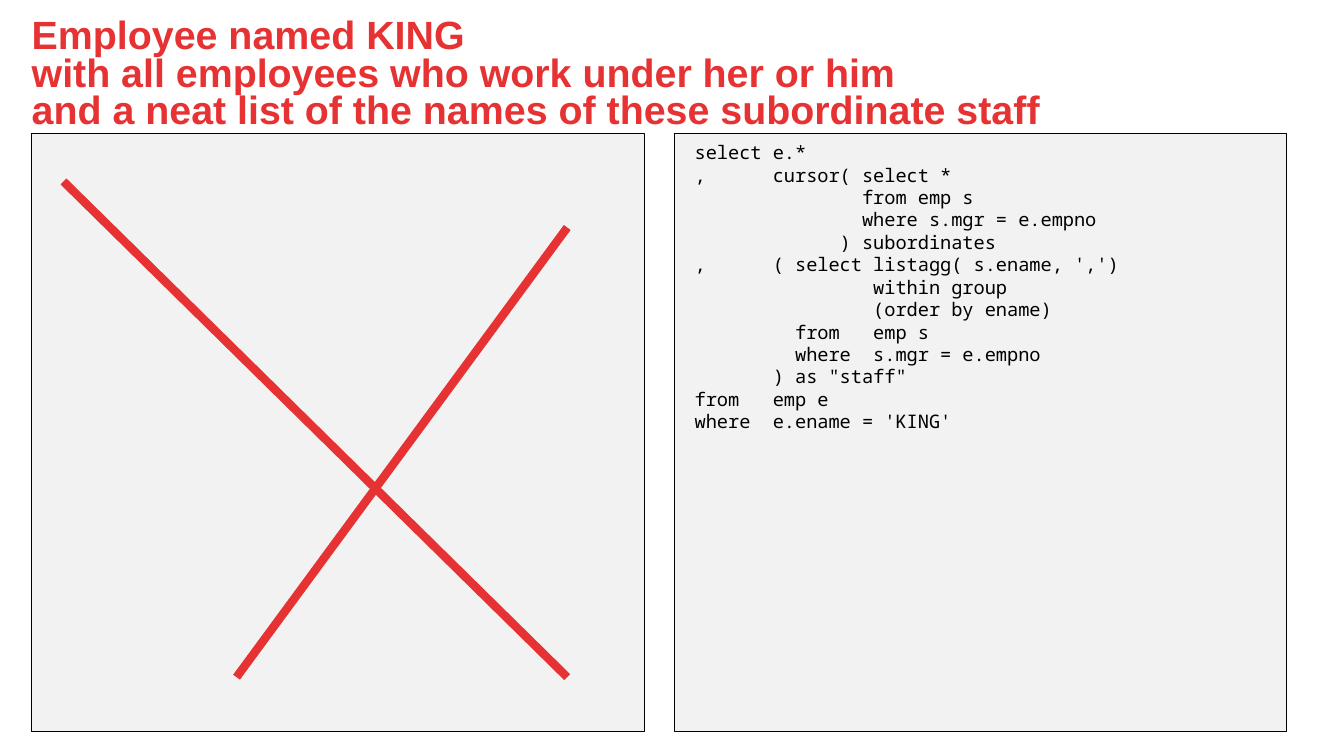
import dataclasses

import pptx
import pptx.dml.color
import pptx.enum.shapes
import pptx.enum.text
import pptx.util
from lxml import etree
from pptx.util import Cm


@dataclasses.dataclass(frozen=True)
class Theme:
    accent: str = "E63232"
    panel: str = "F2F2F2"
    ink: str = "000000"
    title_font: str = "Arial"
    code_font: str = "Noto Sans Mono"
    title_size: float = 21.1
    code_size: float = 10
    border_width: float = 0.5
    stroke_width: float = 4.5


TITLE = (
    "Employee named KING \v"
    "with all employees who work under her or him\v"
    "and a neat list of the names of these subordinate staff"
)

# "\v" is a line break inside a paragraph.
QUERY = [
    "select e.*",
    ",      cursor( select * \v"
    "               from emp s \v"
    "               where s.mgr = e.empno\v"
    "             ) subordinates",
    ",      ( select listagg( s.ename, ',')",
    "                within group \v"
    "                (order by ename)",
    "         from   emp s",
    "         where  s.mgr = e.empno",
    "       ) as \"staff\"",
    "from   emp e",
    "where  e.ename = 'KING'",
]


def color(value):
    return pptx.dml.color.RGBColor.from_string(value)


class SlideBuilder:
    def __init__(self, slide, theme):
        self.slide = slide
        self.theme = theme

    def text(self, box, paragraphs, font_name, size, ink, bold=False,
             inset=None, line_spacing=None):
        """Add a text box; box is left, top, width, height in centimetres."""
        frame = self.slide.shapes.add_textbox(*map(Cm, box)).text_frame
        frame.word_wrap = True
        frame.vertical_anchor = pptx.enum.text.MSO_ANCHOR.TOP
        if inset is not None:
            frame.margin_left = frame.margin_right = Cm(inset)
            frame.margin_top = frame.margin_bottom = Cm(inset)
        frame.text = "\n".join(paragraphs)
        for paragraph in frame.paragraphs:
            if line_spacing:
                paragraph.line_spacing = line_spacing
            paragraph.font.name = font_name
            paragraph.font.size = pptx.util.Pt(size)
            paragraph.font.bold = bold
            paragraph.font.color.rgb = color(ink)

    def title(self, box, text):
        self.text(box, [text], self.theme.title_font, self.theme.title_size,
                  self.theme.accent, bold=True, inset=0, line_spacing=0.8)

    def code(self, box, paragraphs):
        self.text(box, paragraphs, self.theme.code_font, self.theme.code_size,
                  self.theme.ink)

    def panel(self, box):
        shape = self.slide.shapes.add_shape(
            pptx.enum.shapes.MSO_SHAPE.RECTANGLE, *map(Cm, box))
        shape.shadow.inherit = False
        shape.fill.solid()
        shape.fill.fore_color.rgb = color(self.theme.panel)
        shape.line.color.rgb = color(self.theme.ink)
        shape.line.width = pptx.util.Pt(self.theme.border_width)

    def stroke(self, start, end):
        line = self.slide.shapes.add_connector(
            pptx.enum.shapes.MSO_CONNECTOR.STRAIGHT, *map(Cm, start + end))
        line.line.color.rgb = color(self.theme.accent)
        line.line.width = pptx.util.Pt(self.theme.stroke_width)
        properties = line._element.spPr
        etree.SubElement(properties, pptx.oxml.ns.qn("a:effectLst"))


def main():
    presentation = pptx.Presentation()
    presentation.slide_width = Cm(25.4)
    presentation.slide_height = Cm(14.29)
    slide = presentation.slides.add_slide(presentation.slide_layouts[6])
    builder = SlideBuilder(slide, Theme())

    margin, panel_top, panel_width, panel_height, gap = 0.6, 2.52, 11.58, 11.3, 0.56
    builder.title((margin, 0.36, 24.5, 1.98), TITLE)
    for column in range(2):
        left = margin + column * (panel_width + gap)
        builder.panel((left, panel_top, panel_width, panel_height))
    builder.code((12.88, 2.54, 11.43, 5.82), QUERY)

    cross_right, cross_bottom = 10.72, 12.8
    builder.stroke((1.2, 3.43), (cross_right, cross_bottom))
    builder.stroke((cross_right, 4.3), (4.47, cross_bottom))

    presentation.save("out.pptx")


if __name__ == "__main__":
    main()
